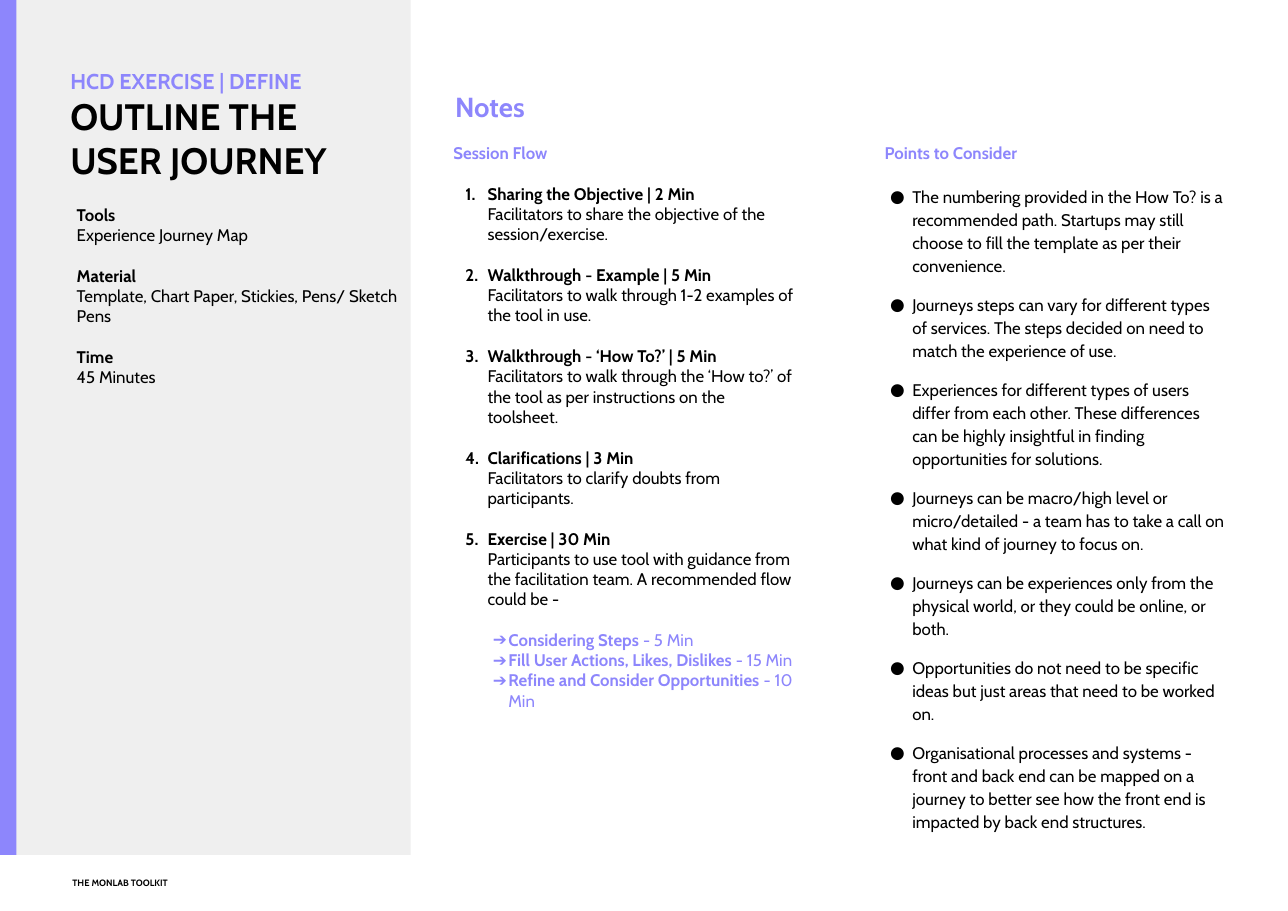
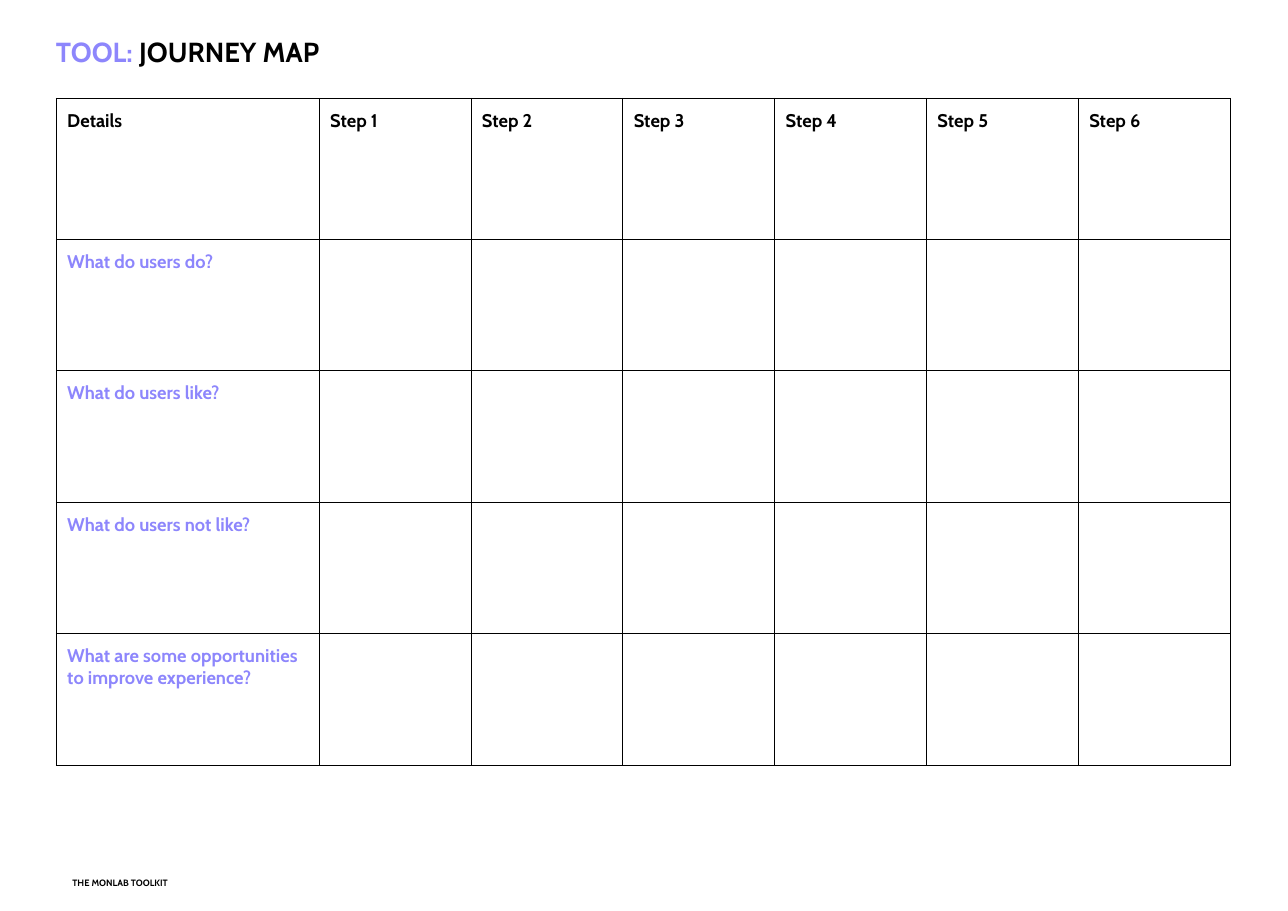
from lxml.etree import SubElement
from pptx import Presentation
from pptx.dml.color import RGBColor
from pptx.enum.shapes import MSO_SHAPE
from pptx.enum.text import MSO_ANCHOR, MSO_AUTO_SIZE, PP_ALIGN
from pptx.oxml.ns import qn
from pptx.util import Cm, Pt

# Shared style
FONT = "Cabin"
PURPLE, BLACK, GREY, WHITE = "8D86FC", "000000", "EFEFEF", "FFFFFF"
GAP = 13.4  # one line of body text, in points
rgb = RGBColor.from_string


def frame(sp, box, inset=0.25, anchor=MSO_ANCHOR.TOP):
    """Place a text shape and return its text frame."""
    sp.left, sp.top, sp.width, sp.height = [Cm(v) for v in box]
    tf = sp.text_frame
    tf.word_wrap = True
    tf.auto_size = MSO_AUTO_SIZE.NONE
    tf.vertical_anchor = anchor
    tf.margin_left = tf.margin_right = tf.margin_top = tf.margin_bottom = Cm(inset)
    return tf


def write(p, runs, size=11, before=0, line=1.0, left=0, hang=0, bullet=None, number=None):
    """Fill a paragraph with (text, colour, bold) runs and an optional marker."""
    p.alignment = PP_ALIGN.LEFT
    p.line_spacing = line
    p.space_before, p.space_after = Pt(before), Pt(0)
    pPr = p._p.get_or_add_pPr()
    pPr.set("marL", str(Cm(left)))
    pPr.set("indent", str(-Cm(hang)))
    if bullet or number:
        SubElement(SubElement(pPr, qn("a:buClr")), qn("a:srgbClr"), val=runs[0][1])
        SubElement(pPr, qn("a:buFont"), typeface=FONT)
    if number:
        SubElement(pPr, qn("a:buAutoNum"), type="arabicPeriod", startAt=str(number))
    elif bullet:
        SubElement(pPr, qn("a:buChar"), char=bullet)
    else:
        SubElement(pPr, qn("a:buNone"))
    for text, color, bold in runs:
        r = p.add_run()
        r.text = text
        r.font.name, r.font.size, r.font.bold = FONT, Pt(size), bold
        r.font.color.rgb = rgb(color)


prs = Presentation()
prs.slide_width, prs.slide_height = Cm(29.69), Cm(21)
notes = prs.slides.add_slide(prs.slide_layouts[3])
tool = prs.slides.add_slide(prs.slide_layouts[5])

# Footer on both slides
for s in prs.slides:
    tf = frame(s.shapes.add_textbox(0, 0, 0, 0), (1.42, 19.99, 11.71, 0.74),
               anchor=MSO_ANCHOR.BOTTOM)
    write(tf.paragraphs[0], [("THE MONLAB TOOLKIT", BLACK, True)], size=6)

# Slide 1: side panel and accent bar, behind the text
for order, (width, color) in enumerate([(9.47, GREY), (0.38, PURPLE)]):
    sp = notes.shapes.add_shape(MSO_SHAPE.RECTANGLE, 0, 0, Cm(width), Cm(19.71))
    sp.shadow.inherit = False
    sp.fill.solid()
    sp.fill.fore_color.rgb = rgb(color)
    sp.line.fill.background()
    notes.shapes.element.insert(2 + order, sp.element)

# Slide 1: title
title, flow, points = notes.placeholders
tf = frame(title, (1.3, 1.45, 7.92, 3.07), 0.32, MSO_ANCHOR.BOTTOM)
write(tf.paragraphs[0], [("HCD EXERCISE | DEFINE", PURPLE, True)], size=14)
write(tf.add_paragraph(), [("OUTLINE THE USER JOURNEY", BLACK, True)], size=24)

# Slide 1: tools, material and time
tf = frame(notes.shapes.add_textbox(0, 0, 0, 0), (1.52, 4.47, 8.33, 5.44))
facts = [
    ("Tools", "Experience Journey Map"),
    ("Material", "Template, Chart Paper, Stickies, Pens/ Sketch Pens"),
    ("Time", "45 Minutes"),
]
for i, (label, detail) in enumerate(facts):
    p = tf.add_paragraph() if i else tf.paragraphs[0]
    write(p, [(label, BLACK, True)], before=GAP if i else 0)
    write(tf.add_paragraph(), [(detail, BLACK, False)])

# Slide 1: notes heading
tf = frame(notes.shapes.add_textbox(0, 0, 0, 0), (10.24, 1.57, 8.33, 1.75),
           anchor=MSO_ANCHOR.MIDDLE)
write(tf.paragraphs[0], [("Notes", PURPLE, True)], size=18)

# Slide 1: session flow
tf = frame(flow, (10.13, 2.97, 8.54, 15.14), 0.32)
write(tf.paragraphs[0], [("Session Flow", PURPLE, True)])
stages = [
    ("Sharing the Objective | 2 Min",
     "Facilitators to share the objective of the session/exercise."),
    ("Walkthrough - Example | 5 Min",
     "Facilitators to walk through 1-2 examples of the tool in use."),
    ("Walkthrough - ‘How To?’ | 5 Min",
     "Facilitators to walk through the ‘How to?’ of the tool as per instructions "
     "on the toolsheet."),
    ("Clarifications | 3 Min",
     "Facilitators to clarify doubts from participants."),
    ("Exercise | 30 Min",
     "Participants to use tool with guidance from the facilitation team. "
     "A recommended flow could be -"),
]
for number, (heading, detail) in enumerate(stages, 1):
    write(tf.add_paragraph(), [(heading, BLACK, True)], before=GAP,
          left=0.79, hang=0.51, number=number)
    write(tf.add_paragraph(), [(detail, BLACK, False)], left=0.79)

exercise_parts = [
    ("Considering Steps ", "- 5 Min"),
    ("Fill User Actions, Likes, Dislikes ", "- 15 Min"),
    ("Refine and Consider Opportunities ", "- 10 Min"),
]
for i, (part, minutes) in enumerate(exercise_parts):
    write(tf.add_paragraph(), [(part, PURPLE, True), (minutes, PURPLE, False)],
          before=0 if i else GAP, left=1.27, hang=0.36, bullet="➔")

# Slide 1: points to consider
tf = frame(points, (20.07, 2.97, 8.54, 16.18), 0.32)
write(tf.paragraphs[0], [("Points to Consider", PURPLE, True)])
considerations = [
    "The numbering provided in the How To? is a recommended path. Startups may still "
    "choose to fill the template as per their convenience.",
    "Journeys steps can vary for different types of services. The steps decided on "
    "need to match the experience of use.",
    "Experiences for different types of users differ from each other. These "
    "differences can be highly insightful in finding opportunities for solutions.",
    "Journeys can be macro/high level or micro/detailed - a team has to take a call "
    "on what kind of journey to focus on.",
    "Journeys can be experiences only from the physical world, or they could be "
    "online, or both.",
    "Opportunities do not need to be specific ideas but just areas that need to be "
    "worked on.",
    "Organisational processes and systems - front and back end can be mapped on a "
    "journey to better see how the front end is impacted by back end structures.",
]
for i, text in enumerate(considerations):
    write(tf.add_paragraph(), [(text, BLACK, False)], before=10 if i else GAP,
          line=1.15, left=0.64, hang=0.51, bullet="●")

# Slide 2: title
tf = frame(tool.shapes.title, (0.97, 0.81, 13.69, 1.09), 0.32, MSO_ANCHOR.BOTTOM)
write(tf.paragraphs[0], [("TOOL:", PURPLE, True), (" JOURNEY MAP", BLACK, True)], size=18)

# Slide 2: journey map
header = ["Details"] + [f"Step {n}" for n in range(1, 7)]
questions = [
    "What do users do?",
    "What do users like?",
    "What do users not like?",
    "What are some opportunities to improve experience?",
]
widths = [6.06] + [3.5] * 6
heights = [3.25] + [3.03] * 4
table = tool.shapes.add_table(len(heights), len(widths), Cm(1.3), Cm(2.27),
                              Cm(sum(widths)), Cm(sum(heights))).table
table.first_row = table.horz_banding = False
for column, width in zip(table.columns, widths):
    column.width = Cm(width)
for row, height in zip(table.rows, heights):
    row.height = Cm(height)

for cell in table.iter_cells():
    cell.margin_left = cell.margin_right = cell.margin_top = cell.margin_bottom = Cm(0.25)
    tcPr = cell._tc.get_or_add_tcPr()
    for side in ("a:lnL", "a:lnR", "a:lnT", "a:lnB"):
        ln = SubElement(tcPr, qn(side), w=str(Pt(0.75)))
        SubElement(SubElement(ln, qn("a:solidFill")), qn("a:srgbClr"), val=BLACK)
    cell.fill.solid()
    cell.fill.fore_color.rgb = rgb(WHITE)

for c, text in enumerate(header):
    write(table.cell(0, c).text_frame.paragraphs[0], [(text, BLACK, True)], size=12)
for r, text in enumerate(questions, 1):
    write(table.cell(r, 0).text_frame.paragraphs[0], [(text, PURPLE, True)], size=12)

prs.save("out.pptx")
